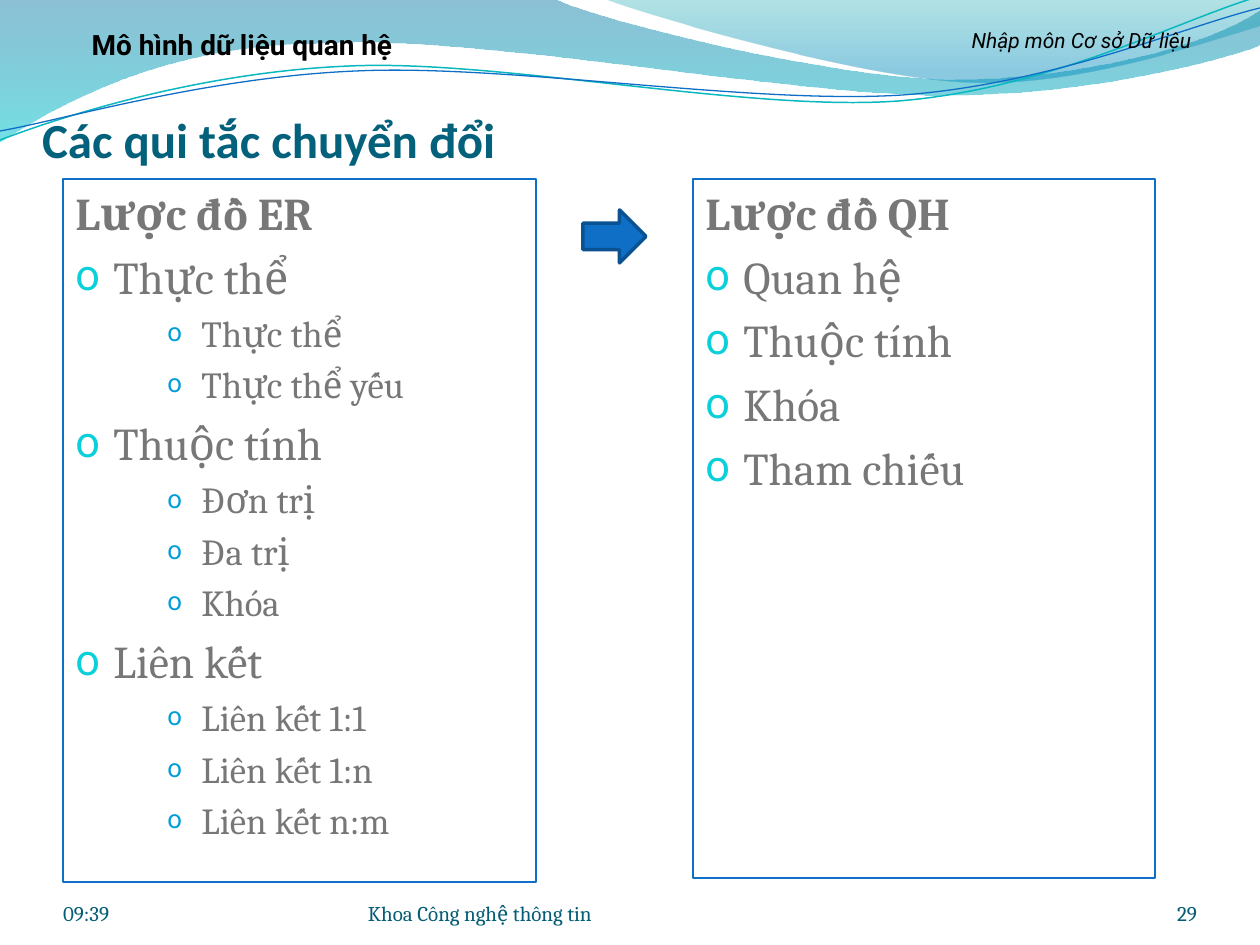
from lxml.etree import SubElement
from pptx import Presentation
from pptx.dml.color import RGBColor
from pptx.enum.shapes import MSO_SHAPE as SHAPE
from pptx.enum.text import MSO_ANCHOR as ANCHOR, MSO_AUTO_SIZE as AUTO, PP_ALIGN as ALIGN
from pptx.oxml.ns import qn
from pptx.util import Emu, Pt

PX = 914400 / 126
color = RGBColor.from_string


def px(*lengths):
    return [Emu(round(length * PX)) for length in lengths]


def write(paragraph, text, **font_format):
    run = paragraph.add_run()
    run.text = text
    run.font.color.rgb = color(font_format.pop("color"))
    for name, value in font_format.items():
        setattr(run.font, name, value)


presentation = Presentation()
presentation.slide_width, presentation.slide_height = px(1260, 945)
slide = presentation.slides.add_slide(presentation.slide_layouts[5])
shapes = slide.shapes

# Header waves: a start point, then straight (1 point) or cubic (3 points) segments
waves = [
    {"start": (0, -1), "closed": True, "stops": [(0, "0074A1", 45), (1, "00C6CF", 55)],
     "segments": [[(554, -1)], [(600, 21), (837, 79), (955, 79)],
                  [(1075, 79), (1207, 47), (1260, 11)], [(1261, 45)],
                  [(1239, 55), (1096, 96), (940, 95)], [(784, 95), (481, 35), (324, 43)],
                  [(163, 44), (58, 105), (-1, 142)]]},
    {"start": (604, -1), "closed": True, "stops": [(0, "00A1A9", 30), (0.8, "008BBF", 45)],
     "segments": [[(641, 14), (859, 78), (969, 82)], [(1079, 87), (1211, 40), (1260, 26)],
                  [(1260, 0)]]},
    {"start": (0, 140), "closed": False, "line": ("0AB8BF", 0.85),
     "segments": [[(60, 117), (199, 72), (349, 66)], [(498, 59), (747, 112), (898, 101)],
                  [(1050, 89), (1182, 19), (1257, -3)]]},
    {"start": (0, 131), "closed": False, "line": ("0F6FC6", 0.75),
     "segments": [[(59, 121), (207, 77), (357, 71)], [(508, 64), (752, 105), (903, 95)],
                  [(1053, 84), (1186, 26), (1260, 8)]]},
]
for wave in waves:
    outline = [px(*point) for segment in wave["segments"] for point in segment]
    builder = shapes.build_freeform(*px(*wave["start"]), scale=1.0)
    builder.add_line_segments(outline, close=wave["closed"])
    shape = builder.convert_to_shape()
    shape.shadow.inherit = False

    # Join each group of three points into one cubic curve
    lines = iter(list(shape.element.iter(qn("a:lnTo"))))
    for segment in wave["segments"]:
        parts = [next(lines) for point in segment]
        if len(parts) == 3:
            curve = SubElement(parts[0].getparent(), qn("a:cubicBezTo"))
            parts[0].addprevious(curve)
            for part in parts:
                curve.append(part[0])
                part.getparent().remove(part)

    if wave["closed"]:
        shape.line.fill.background()
        shape.fill.gradient()
        shape.fill.gradient_angle = 270
        for stop, (position, value, opacity) in zip(shape.fill.gradient_stops, wave["stops"]):
            stop.position = position
            stop.color.rgb = color(value)
        elements = list(shape.element.iter(qn("a:srgbClr")))
        for element, (position, value, opacity) in zip(elements, wave["stops"]):
            SubElement(element, qn("a:alpha"), val=str(opacity * 1000))
    else:
        value, width = wave["line"]
        shape.fill.background()
        shape.line.color.rgb = color(value)
        shape.line.width = Pt(width)

# Title, in front of the waves
title = shapes.title
title.left, title.top, title.width, title.height = px(42, 105, 1134, 63)
frame = title.text_frame
title_format = {"margin_left": 0, "margin_right": 0, "margin_bottom": 0, "margin_top": px(6)[0],
                "vertical_anchor": ANCHOR.BOTTOM, "auto_size": AUTO.NONE}
for name, value in title_format.items():
    setattr(frame, name, value)
frame.paragraphs[0].alignment = ALIGN.LEFT
write(frame.paragraphs[0], "Các qui tắc chuyển đổi",
      name="Calibri", size=Pt(28), bold=True, color="04617B")
title.element.getparent().append(title.element)

# Two schema lists: heading, then (level, text) items
levels = {
    0: {"indent": 38, "hanging": 38, "size": 26},
    1: {"indent": 38, "hanging": 38, "size": 26, "bullet": "0BD0D9", "percent": 95},
    2: {"indent": 126, "hanging": 34, "size": 21, "bullet": "009DD9", "percent": 70},
}
schemas = [
    ((63, 179, 473, 703),
     [(0, "Lược đồ ER"),
      (1, "Thực thể"), (2, "Thực thể"), (2, "Thực thể yếu"),
      (1, "Thuộc tính"), (2, "Đơn trị"), (2, "Đa trị"), (2, "Khóa"),
      (1, "Liên kết"), (2, "Liên kết 1:1"), (2, "Liên kết 1:n"), (2, "Liên kết n:m")]),
    ((693, 179, 462, 699),
     [(0, "Lược đồ QH"),
      (1, "Quan hệ"), (1, "Thuộc tính"), (1, "Khóa"), (1, "Tham chiếu")]),
]
for box, items in schemas:
    shape = shapes.add_shape(SHAPE.RECTANGLE, *px(*box))
    shape.shadow.inherit = False
    shape.fill.background()
    shape.line.color.rgb = color("0F6FC6")
    shape.line.width = Pt(0.75)
    frame = shape.text_frame
    frame.word_wrap = True
    frame.vertical_anchor = ANCHOR.TOP
    for index, (level, text) in enumerate(items):
        style = levels[level]
        paragraph = frame.add_paragraph() if index else frame.paragraphs[0]
        paragraph.alignment = ALIGN.LEFT
        properties = paragraph._p.get_or_add_pPr()
        indent, hanging = px(style["indent"], style["hanging"])
        properties.set("marL", str(indent))
        properties.set("indent", str(-hanging))
        if index:
            space = SubElement(properties, qn("a:spcBef"))
            SubElement(space, qn("a:spcPct"), val="20000")
        if "bullet" in style:
            paragraph.level = level if level == 2 else 0
            bullet_color = SubElement(properties, qn("a:buClr"))
            SubElement(bullet_color, qn("a:srgbClr"), val=style["bullet"])
            SubElement(properties, qn("a:buSzPct"), val=str(style["percent"] * 1000))
            SubElement(properties, qn("a:buFont"), typeface="Roboto")
            SubElement(properties, qn("a:buChar"), char="o")
        write(paragraph, text, name="Cambria", size=Pt(style["size"]),
              bold=level == 0, color="777777")

# Footer: time, department, page number
for left, width, text, alignment in [(63, 294, "09:39", ALIGN.LEFT),
                                     (368, 462, "Khoa Công nghệ thông tin", ALIGN.LEFT),
                                     (1092, 105, "29", ALIGN.RIGHT)]:
    frame = shapes.add_textbox(*px(left, 876, width, 50)).text_frame
    frame.word_wrap = True
    frame.vertical_anchor = ANCHOR.BOTTOM
    for side in ("left", "right", "top", "bottom"):
        setattr(frame, f"margin_{side}", 0)
    frame.paragraphs[0].alignment = alignment
    write(frame.paragraphs[0], text, name="Cambria", size=Pt(12), color="045D75")

# Header: course on the right, chapter on the left
for box, text, font_format in [
        ((903, 21, 357, 48), "Nhập môn Cơ sở Dữ liệu", {"size": Pt(12), "italic": True}),
        ((32, 21, 420, 47), "Mô hình dữ liệu quan hệ", {"size": Pt(16), "bold": True})]:
    frame = shapes.add_textbox(*px(*box)).text_frame
    frame.word_wrap = True
    frame.auto_size = AUTO.SHAPE_TO_FIT_TEXT
    frame.paragraphs[0].alignment = ALIGN.CENTER
    write(frame.paragraphs[0], text, name="Roboto", color="000000", **font_format)

# Conversion arrow
arrow = shapes.add_shape(SHAPE.RIGHT_ARROW, *px(583, 210, 63, 53))
arrow.shadow.inherit = False
arrow.fill.solid()
arrow.fill.fore_color.rgb = color("0F6FC6")
arrow.line.color.rgb = color("0B5292")
arrow.line.width = Pt(2)

presentation.save("out.pptx")
